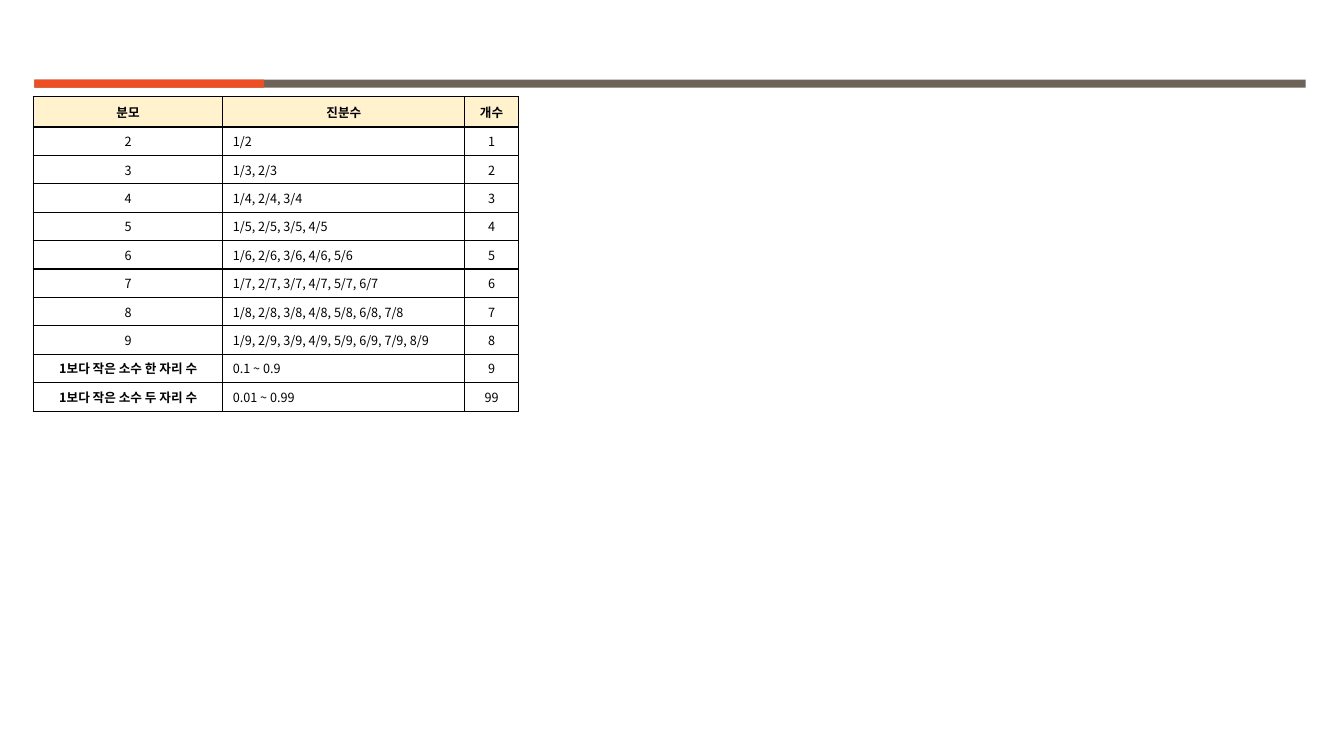
from dataclasses import dataclass

from lxml.etree import SubElement
from pptx import Presentation
from pptx.dml.color import RGBColor
from pptx.enum.shapes import MSO_SHAPE as Shape
from pptx.enum.text import MSO_ANCHOR as Anchor, PP_ALIGN as Align
from pptx.oxml.ns import qn
from pptx.slide import Slide
from pptx.table import _Cell as Cell
from pptx.util import Emu, Pt

EMU_PER_PX = 9144  # 100 px to the inch


@dataclass(frozen=True)
class Theme:
    accent: str = "F04D22"
    rule: str = "6D6359"
    header: str = "FFF2CC"
    ink: str = "000000"
    font: str = "Noto Sans CJK KR"
    text_pt: int = 9
    border_pt: int = 1


@dataclass(frozen=True)
class Bar:
    left: int
    top: int
    width: int
    height: int
    color: str


@dataclass(frozen=True)
class FractionRow:
    label: str
    members: str
    count: str
    bold_label: bool = False


THEME = Theme()
BARS = [
    Bar(34, 79, 1261, 8, THEME.rule),
    Bar(34, 79, 228, 8, THEME.accent),
]
TABLE_LEFT, TABLE_TOP = 33, 96
COLUMN_WIDTHS = [188, 240, 53]
HEADER_HEIGHT, ROW_HEIGHT = 30, 25
HEADINGS = FractionRow("분모", "진분수", "개수", True)


def px(length: int) -> Emu:
    return Emu(length * EMU_PER_PX)


def proper_fractions(denominator: int) -> FractionRow:
    members = ", ".join(f"{n}/{denominator}" for n in range(1, denominator))
    return FractionRow(str(denominator), members, str(denominator - 1))


def draw_bar(slide: Slide, bar: Bar) -> None:
    strip = slide.shapes.add_shape(
        Shape.RECTANGLE, px(bar.left), px(bar.top), px(bar.width), px(bar.height))
    strip.shadow.inherit = False
    strip.fill.solid()
    strip.fill.fore_color.rgb = RGBColor.from_string(bar.color)
    strip.line.fill.background()


def add_borders(cell: Cell) -> None:
    properties = cell._tc.get_or_add_tcPr()
    for side in ("L", "R", "T", "B"):
        border = SubElement(properties, qn(f"a:ln{side}"), w=str(Pt(THEME.border_pt)))
        fill = SubElement(border, qn("a:solidFill"))
        SubElement(fill, qn("a:srgbClr"), val=THEME.ink)


def write_cell(cell: Cell, text: str, bold: bool, align: Align, header: bool) -> None:
    add_borders(cell)
    if header:
        cell.fill.solid()
        cell.fill.fore_color.rgb = RGBColor.from_string(THEME.header)
    else:
        cell.fill.background()
    cell.vertical_anchor = Anchor.MIDDLE
    paragraph = cell.text_frame.paragraphs[0]
    paragraph.text = text
    paragraph.alignment = align
    run = paragraph.runs[0]
    run.font.size = Pt(THEME.text_pt)
    run.font.bold = bold
    run.font.color.rgb = RGBColor.from_string(THEME.ink)
    run.font.name = THEME.font
    SubElement(run._r.get_or_add_rPr(), qn("a:ea"), typeface=THEME.font)


def draw_table(slide: Slide, rows: list[FractionRow]) -> None:
    heights = [HEADER_HEIGHT] + [ROW_HEIGHT] * (len(rows) - 1)
    table = slide.shapes.add_table(
        len(rows), len(COLUMN_WIDTHS), px(TABLE_LEFT), px(TABLE_TOP),
        px(sum(COLUMN_WIDTHS)), px(sum(heights))).table
    table.first_row = False
    table.horz_banding = False
    for column, width in zip(table.columns, COLUMN_WIDTHS):
        column.width = px(width)
    for index, (row, height) in enumerate(zip(rows, heights)):
        table.rows[index].height = px(height)
        header = index == 0
        members_align = Align.CENTER if header else Align.LEFT
        label, members, count = table.rows[index].cells
        write_cell(label, row.label, row.bold_label, Align.CENTER, header)
        write_cell(members, row.members, header, members_align, header)
        write_cell(count, row.count, header, Align.CENTER, header)


def main() -> None:
    deck = Presentation()
    deck.slide_width, deck.slide_height = px(1333), px(750)
    slide = deck.slides.add_slide(deck.slide_layouts[6])

    # Two-colour rule across the top
    for bar in BARS:
        draw_bar(slide, bar)

    # Proper fractions by denominator, then decimals below one
    draw_table(slide, [
        HEADINGS,
        *map(proper_fractions, range(2, 10)),
        FractionRow("1보다 작은 소수 한 자리 수", "0.1 ~ 0.9", "9", True),
        FractionRow("1보다 작은 소수 두 자리 수", "0.01 ~ 0.99", "99", True),
    ])
    deck.save("out.pptx")


if __name__ == "__main__":
    main()
